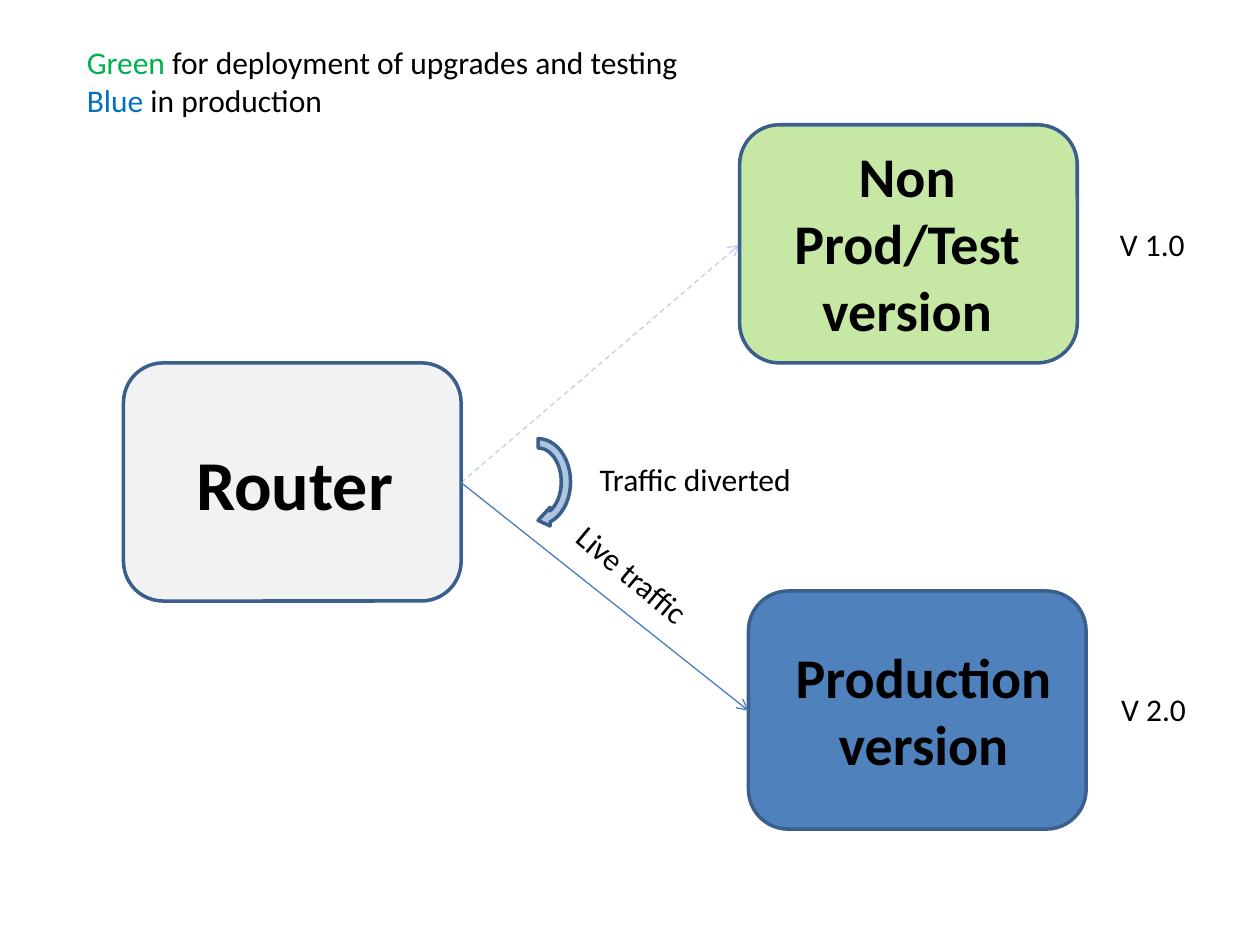
from pptx import Presentation
from pptx.dml.color import RGBColor
from pptx.enum.dml import MSO_LINE
from pptx.enum.shapes import MSO_CONNECTOR, MSO_SHAPE
from pptx.enum.text import MSO_AUTO_SIZE, PP_ALIGN
from pptx.oxml.ns import qn
from pptx.oxml.xmlchemy import OxmlElement
from pptx.util import Inches, Pt


def rgb(value):
    return RGBColor.from_string(value)


def set_alpha(sp, percent):
    color = next(sp._element.spPr.iter(qn("a:srgbClr")))
    alpha = OxmlElement("a:alpha")
    alpha.set("val", str(percent * 1000))
    color.append(alpha)


class SlideBuilder:
    font = "Calibri"
    black = "000000"
    outline = "3A5F8C"
    arrow_color = "4B7EBC"

    def __init__(self, prs):
        self.s = prs.slides.add_slide(prs.slide_layouts[6])

    def shape(self, kind, box, fill, alpha=None, rotation=0):
        sp = self.s.shapes.add_shape(kind, *map(Inches, box))
        sp.shadow.inherit = False
        sp.rotation = rotation
        sp.fill.solid()
        sp.fill.fore_color.rgb = rgb(fill)
        sp.line.color.rgb = rgb(self.outline)
        sp.line.width = Pt(2)
        if alpha:
            set_alpha(sp, alpha)
        return sp

    def text(self, box, paragraphs, size=18, bold=None, align=None, rotation=0):
        sp = self.s.shapes.add_textbox(*map(Inches, box))
        sp.rotation = rotation
        tf = sp.text_frame
        tf.word_wrap = True
        tf.auto_size = MSO_AUTO_SIZE.SHAPE_TO_FIT_TEXT
        for i, runs in enumerate(paragraphs):
            p = tf.add_paragraph() if i else tf.paragraphs[0]
            p.alignment = align
            for content, color in runs:
                r = p.add_run()
                r.text = content
                style = {"name": self.font, "size": Pt(size), "bold": bold}
                for name, value in style.items():
                    setattr(r.font, name, value)
                r.font.color.rgb = rgb(color)
        return sp

    def label(self, box, content, **style):
        return self.text(box, [[(content, self.black)]], **style)

    def arrow(self, start, end, dash=None, alpha=None):
        sp = self.s.shapes.add_connector(
            MSO_CONNECTOR.STRAIGHT, *map(Inches, start + end))
        sp.line.color.rgb = rgb(self.arrow_color)
        line_style = {"width": Pt(0.75), "dash_style": dash}
        for name, value in line_style.items():
            setattr(sp.line, name, value)
        if alpha:
            set_alpha(sp, alpha)
        tail = OxmlElement("a:tailEnd")
        tail.set("type", "arrow")
        sp.line._get_or_add_ln().append(tail)
        sp._element.spPr.append(OxmlElement("a:effectLst"))
        return sp


def main():
    prs = Presentation()
    prs.slide_width, prs.slide_height = Inches(10), Inches(7.5)
    slide = SlideBuilder(prs)

    node_size = (2.68, 1.89)
    nodes = [
        ((0.98, 2.88), "F2F2F2", None),
        ((5.87, 0.99), "92D050", 51),
        ((5.94, 4.69), "4F81BD", None),
    ]
    for position, fill, alpha in nodes:
        slide.shape(MSO_SHAPE.ROUNDED_RECTANGLE, position + node_size, fill, alpha)

    slide.label((1.46, 3.45, 2.13, 0.77), "Router", size=40, bold=True)
    versions = [
        ((6.02, 1.07, 2.36, 1.72), "Non Prod/Test version"),
        ((5.95, 5.05, 2.76, 1.18), "Production version"),
    ]
    for box, content in versions:
        slide.label(box, content, size=32, bold=True, align=PP_ALIGN.CENTER)

    router_exit = (3.66, 3.83)
    slide.arrow(router_exit, (5.94, 5.64))
    slide.label((4.35, 4.49, 1.65, 0.4), "Live traffic", rotation=39.9)
    slide.text((0.59, 0.29, 5.12, 0.71), [
        [("Green", "00B050"),
         (" for deployment of upgrades and testing", slide.black)],
        [("Blue", "0070C0"), (" in production", slide.black)],
    ])
    slide.arrow(router_exit, (5.87, 1.94), dash=MSO_LINE.DASH, alpha=34)
    slide.shape(MSO_SHAPE.CIRCULAR_ARROW, (3.89, 3.53, 0.76, 0.59),
                "4F81BD", alpha=46, rotation=90)

    captions = [
        ((4.66, 3.6, 1.89, 0.4), "Traffic diverted"),
        ((8.79, 1.74, 0.94, 0.4), "V 1.0"),
        ((8.8, 5.43, 0.94, 0.4), "V 2.0"),
    ]
    for box, content in captions:
        slide.label(box, content)

    prs.save("out.pptx")


if __name__ == "__main__":
    main()
